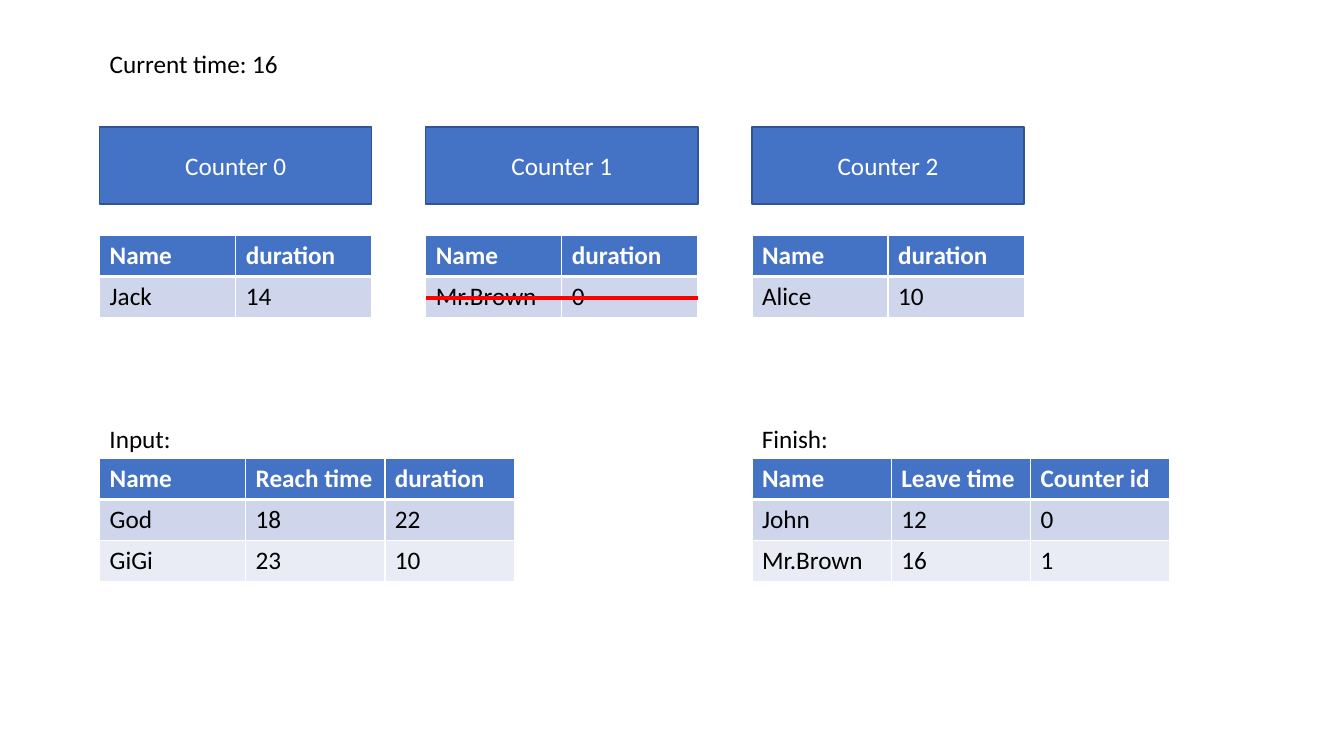
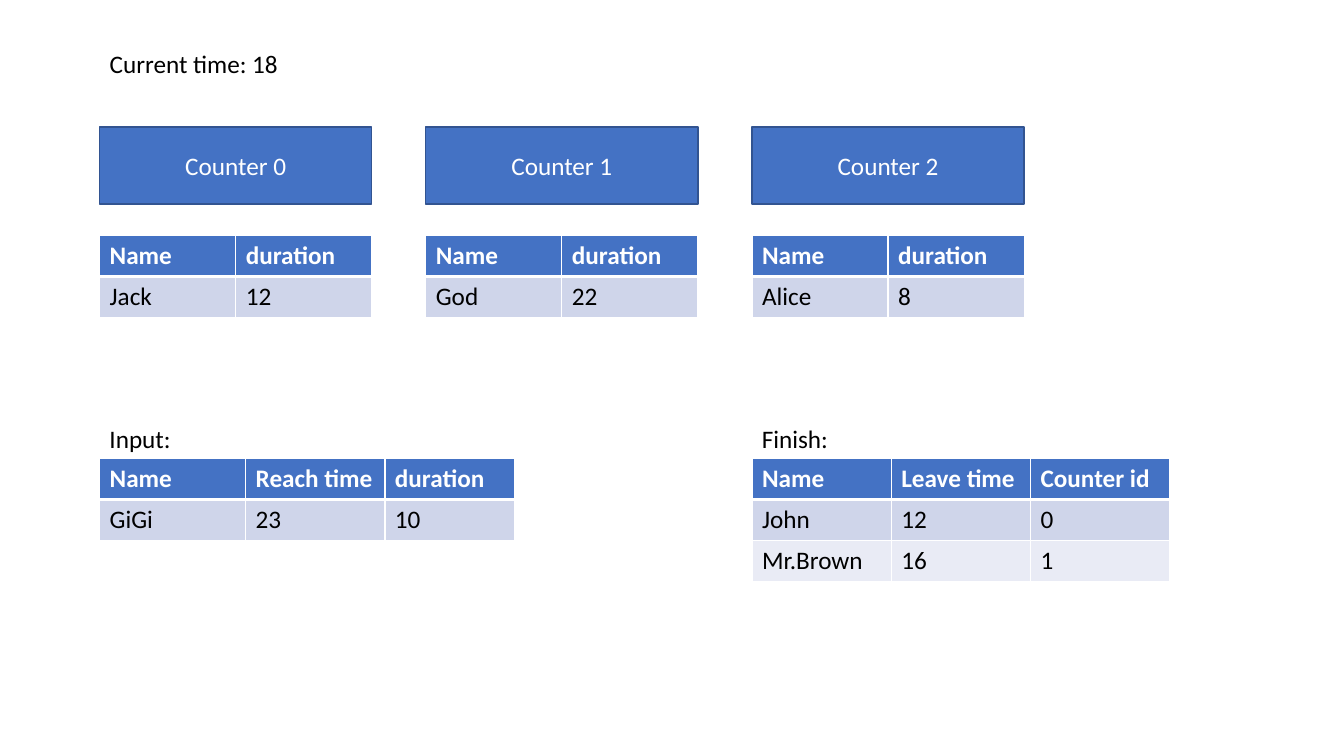
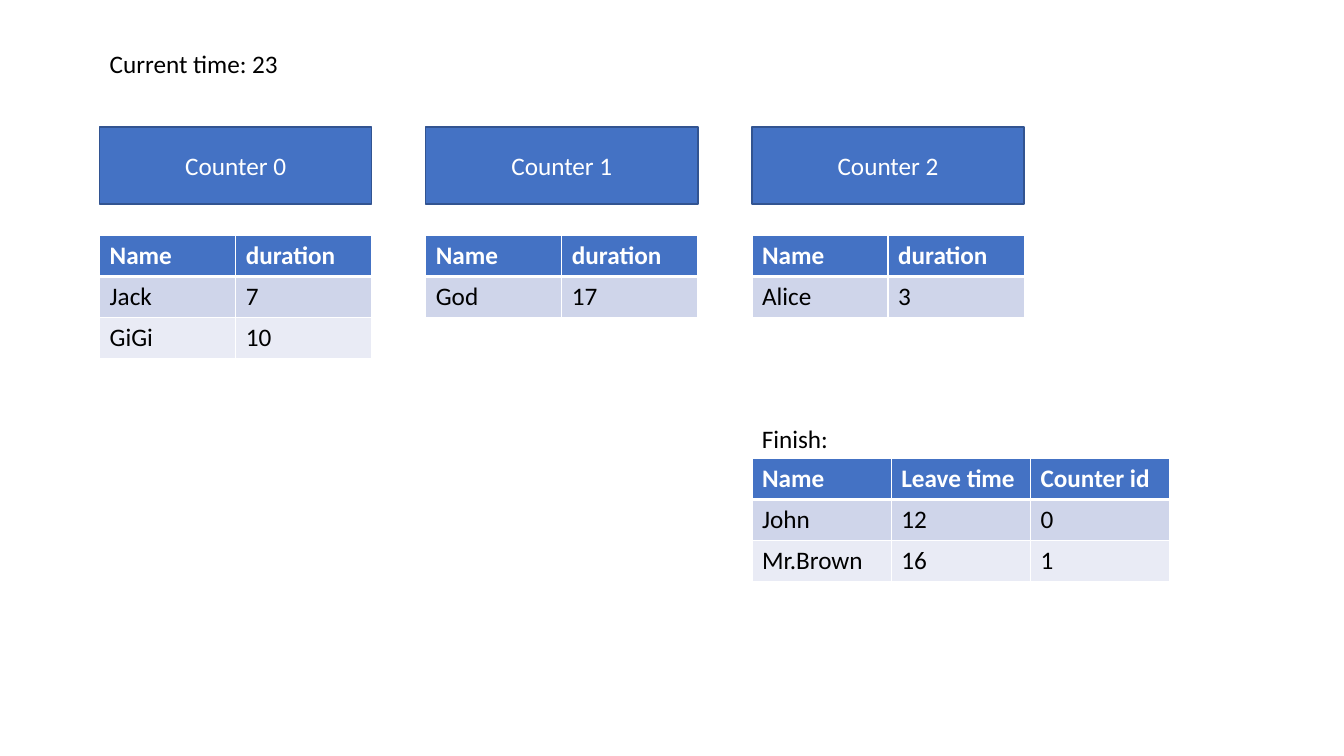
from dataclasses import dataclass

from lxml import etree
from pptx import Presentation
from pptx.dml.color import RGBColor
from pptx.enum import shapes, text
from pptx.oxml import ns
from pptx.util import Cm, Pt


@dataclass(frozen=True)
class Theme:
    """Colours, type and line sizes shared by all slides."""
    font: str = "Calibri"
    size: int = 18
    ink: str = "000000"
    white: str = "FFFFFF"
    blue: str = "4472C4"
    edge: str = "325491"
    red: str = "FF0000"
    bands: tuple = ("CFD5EA", "E9EBF5")
    thin: int = 1
    thick: int = 3


@dataclass(frozen=True)
class Grid:
    """Shared places and sizes in centimetres."""
    left: float = 2.51
    step: float = 8.22
    width: float = 6.86
    row: float = 1.03
    title: float = 1.1
    box: float = 3.2
    tall: float = 1.94
    queue: float = 5.94
    label: float = 10.54
    list: float = 11.56


THEME = Theme()
GRID = Grid()


def rgb(code):
    """Turn a hex code into a colour."""
    return RGBColor.from_string(code)


def write(frame, words, color, bold=False, align=text.PP_ALIGN.LEFT):
    """Fill a text frame with one line in the theme font."""
    frame.text = words
    line = frame.paragraphs[0]
    line.alignment = align
    for run in line.runs:
        font = run.font
        font.name, font.size, font.bold = THEME.font, Pt(THEME.size), bold
        font.color.rgb = rgb(color)


def add_title(slide, words, x, y, width):
    """Place the heading in the title placeholder."""
    title = slide.shapes.title
    title.left, title.top = Cm(x), Cm(y)
    title.width, title.height = Cm(width), Cm(GRID.row)
    frame = title.text_frame
    frame.vertical_anchor = text.MSO_ANCHOR.TOP
    frame.auto_size = text.MSO_AUTO_SIZE.NONE
    write(frame, words, THEME.ink)


def add_label(slide, words, x, y, width):
    """Place a plain caption."""
    label = slide.shapes.add_textbox(Cm(x), Cm(y), Cm(width), Cm(GRID.row))
    label.text_frame.word_wrap = True
    write(label.text_frame, words, THEME.ink)


def add_edges(cell, top, bottom):
    """Draw white borders round a cell, with given top and bottom widths."""
    props = cell._tc.get_or_add_tcPr()
    widths = {"L": THEME.thin, "R": THEME.thin, "T": top, "B": bottom}
    for side, width in widths.items():
        line = etree.SubElement(props, ns.qn("a:ln" + side), w=str(Pt(width)))
        fill = etree.SubElement(line, ns.qn("a:solidFill"))
        etree.SubElement(fill, ns.qn("a:srgbClr"), val=THEME.white)


def add_grid(slide, rows, x, y, widths):
    """Place a banded table whose first row is the header."""
    table = slide.shapes.add_table(
        len(rows), len(widths), Cm(x), Cm(y),
        Cm(sum(widths)), Cm(GRID.row * len(rows))).table
    for col, width in zip(table.columns, widths):
        col.width = Cm(width)
    for r, row in enumerate(rows):
        table.rows[r].height = Cm(GRID.row)
        head = r == 0
        for c, value in enumerate(row):
            cell = table.cell(r, c)
            add_edges(cell, THEME.thick if r == 1 else THEME.thin,
                      THEME.thick if head else THEME.thin)
            cell.fill.solid()
            cell.fill.fore_color.rgb = rgb(
                THEME.blue if head else THEME.bands[(r - 1) % 2])
            write(cell.text_frame, str(value),
                  THEME.white if head else THEME.ink, bold=head)


def add_strike(slide, x, y, width):
    """Cross out a served person with a red line."""
    line = slide.shapes.add_connector(
        shapes.MSO_CONNECTOR.STRAIGHT, Cm(x), Cm(y), Cm(x + width), Cm(y))
    line.line.color.rgb = rgb(THEME.red)
    line.line.width = Pt(THEME.thick)
    etree.SubElement(line._element.spPr, ns.qn("a:effectLst"))


def add_counter(slide, name, queue, x, width):
    """Place a counter box with its queue below; strike a finished head."""
    box = slide.shapes.add_shape(
        shapes.MSO_SHAPE.RECTANGLE, Cm(x), Cm(GRID.box), Cm(width), Cm(GRID.tall))
    box.shadow.inherit = False
    box.fill.solid()
    box.fill.fore_color.rgb = rgb(THEME.blue)
    box.line.color.rgb = rgb(THEME.edge)
    box.line.width = Pt(THEME.thin)
    box.text_frame.vertical_anchor = text.MSO_ANCHOR.MIDDLE
    write(box.text_frame, name, THEME.white, align=text.PP_ALIGN.CENTER)
    add_grid(slide, [("Name", "duration"), *queue], x, GRID.queue, [width / 2] * 2)
    if queue[0][1] == 0:
        add_strike(slide, x, GRID.queue + 1.53 * GRID.row, width)


def add_list(slide, name, rows, x, widths):
    """Place a captioned table in the lower half."""
    add_label(slide, name, x, GRID.label, 2.3)
    add_grid(slide, rows, x, GRID.list, widths)


def add_state(deck, time, queues, waiting, done):
    """Build one slide showing the counters at a moment."""
    slide = deck.slides.add_slide(deck.slide_layouts[5])
    add_title(slide, f"Current time: {time}", GRID.left, GRID.title, 4.8)
    for i, queue in enumerate(queues):
        add_counter(slide, f"Counter {i}", queue,
                    GRID.left + i * GRID.step, GRID.width)
    if waiting:
        add_list(slide, "Input:", [("Name", "Reach time", "duration"), *waiting],
                 GRID.left, [3.68, 3.51, 3.28])
    add_list(slide, "Finish:", [("Name", "Leave time", "Counter id"), *done],
             GRID.left + 2 * GRID.step, [3.51] * 3)


def main():
    """Build and save the deck."""
    deck = Presentation()
    deck.slide_width, deck.slide_height = Cm(33.87), Cm(19.05)
    god, gigi = ("God", 18, 22), ("GiGi", 23, 10)
    done = [("John", 12, 0), ("Mr.Brown", 16, 1)]
    states = [
        (16, [[("Jack", 14)], [("Mr.Brown", 0)], [("Alice", 10)]], [god, gigi]),
        (18, [[("Jack", 12)], [("God", 22)], [("Alice", 8)]], [gigi]),
        (23, [[("Jack", 7), ("GiGi", 10)], [("God", 17)], [("Alice", 3)]], []),
    ]
    for time, queues, waiting in states:
        add_state(deck, time, queues, waiting, done)
    deck.save("out.pptx")


main()
